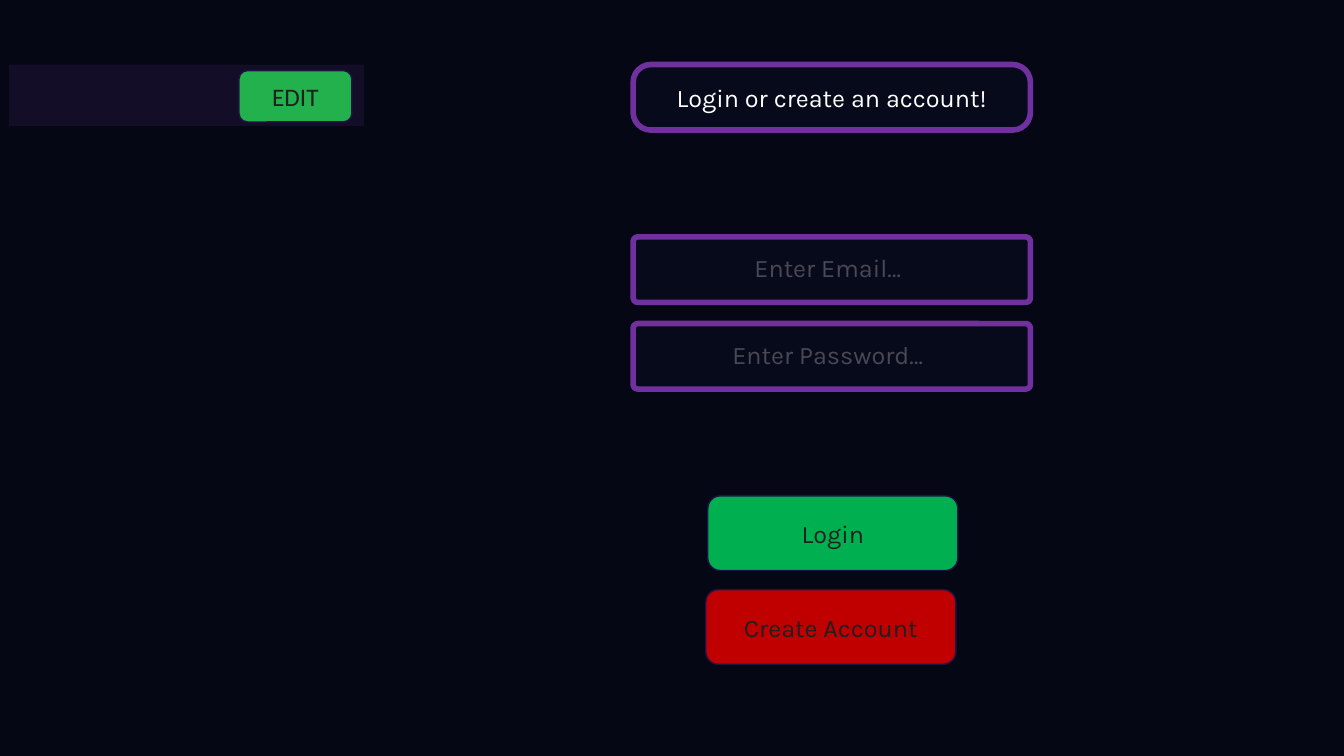
from dataclasses import dataclass
from typing import Optional

from lxml.etree import SubElement
from pptx import Presentation
from pptx.dml.color import RGBColor as Rgb
from pptx.enum.shapes import MSO_SHAPE as Kind
from pptx.enum.text import MSO_ANCHOR as Anchor, MSO_AUTO_SIZE as Fit, PP_ALIGN as Align
from pptx.oxml.ns import qn
from pptx.util import Inches, Pt

NIGHT = Rgb(0x05, 0x07, 0x14)
NAVY = Rgb(0x07, 0x0A, 0x1B)
PURPLE = Rgb(0x70, 0x30, 0xA0)
INDIGO = Rgb(0x1F, 0x14, 0x45)
LIME = Rgb(0x22, 0xB1, 0x4C)
GREEN = Rgb(0x00, 0xB0, 0x50)
RED = Rgb(0xC0, 0x00, 0x00)
DARK = Rgb(0x20, 0x20, 0x20)
WHITE = Rgb(0xFF, 0xFF, 0xFF)


@dataclass
class Box:
    left: float
    top: float
    width: float
    height: float
    fill: Rgb
    edge: Optional[Rgb] = INDIGO
    weight: float = 1
    round: float = 0.167
    text: str = ""
    ink: Rgb = DARK
    face: str = "Karla"


@dataclass
class Hint:
    top: float
    text: str


def fade(node, share: int) -> None:
    """Make every colour inside the node partly see-through."""
    for color in node.iter(qn("a:srgbClr")):
        SubElement(color, qn("a:alpha")).set("val", str(share * 1000))


def write(frame, text: str, ink: Rgb, face: str) -> None:
    para = frame.paragraphs[0]
    para.alignment = Align.CENTER
    run = para.add_run()
    run.text = text
    for name, value in {"name": face, "size": Pt(18)}.items():
        setattr(run.font, name, value)
    run.font.fill.solid()
    run.font.fill.fore_color.rgb = ink


def draw_box(slide, box: Box):
    kind = Kind.ROUNDED_RECTANGLE if box.edge else Kind.RECTANGLE
    place = map(Inches, (box.left, box.top, box.width, box.height))
    shape = slide.shapes.add_shape(kind, *place)
    shape.shadow.inherit = False
    shape.fill.solid()
    shape.fill.fore_color.rgb = box.fill
    if box.edge:
        shape.adjustments[0] = box.round
        shape.line.color.rgb = box.edge
        shape.line.width = Pt(box.weight)
    else:
        shape.line.fill.background()
    if box.text:
        shape.text_frame.vertical_anchor = Anchor.MIDDLE
        write(shape.text_frame, box.text, box.ink, box.face)
    return shape


def draw_hint(slide, hint: Hint) -> None:
    place = map(Inches, (6.45, hint.top, 3.52, 0.4))
    label = slide.shapes.add_textbox(*place)
    form = {"word_wrap": True, "auto_size": Fit.SHAPE_TO_FIT_TEXT}
    for name, value in form.items():
        setattr(label.text_frame, name, value)
    write(label.text_frame, hint.text, WHITE, "Karla")
    fade(label.element, 25)


def field(top: float, round: float = 0.07, text: str = "") -> Box:
    return Box(6.28, top, 3.94, 0.65, NAVY, PURPLE, 4, round, text, WHITE)


BAR = Box(0.09, 0.64, 3.52, 0.61, PURPLE, None)
BOXES = [
    Box(2.37, 0.7, 1.12, 0.51, LIME, text="EDIT", face="Calibri"),
    field(0.64, 0.27, "Login or create an account!"),
    field(2.35),
    field(3.21),
    Box(7.02, 4.92, 2.48, 0.74, GREEN, text="Login"),
    Box(7, 5.85, 2.48, 0.74, RED, text="Create Account"),
]
HINTS = [Hint(2.45, "Enter Email…"), Hint(3.32, "Enter Password…")]


def main() -> None:
    deck = Presentation()
    deck.slide_width, deck.slide_height = Inches(13.33), Inches(7.5)
    slide = deck.slides.add_slide(deck.slide_layouts[6])
    slide.background.fill.solid()
    slide.background.fill.fore_color.rgb = NIGHT

    # Edit bar
    bar = draw_box(slide, BAR)
    fade(bar.element.spPr, 15)

    # Heading, fields and buttons
    for box in BOXES:
        draw_box(slide, box)

    # Field hints
    for hint in HINTS:
        draw_hint(slide, hint)

    deck.save("out.pptx")


if __name__ == "__main__":
    main()
